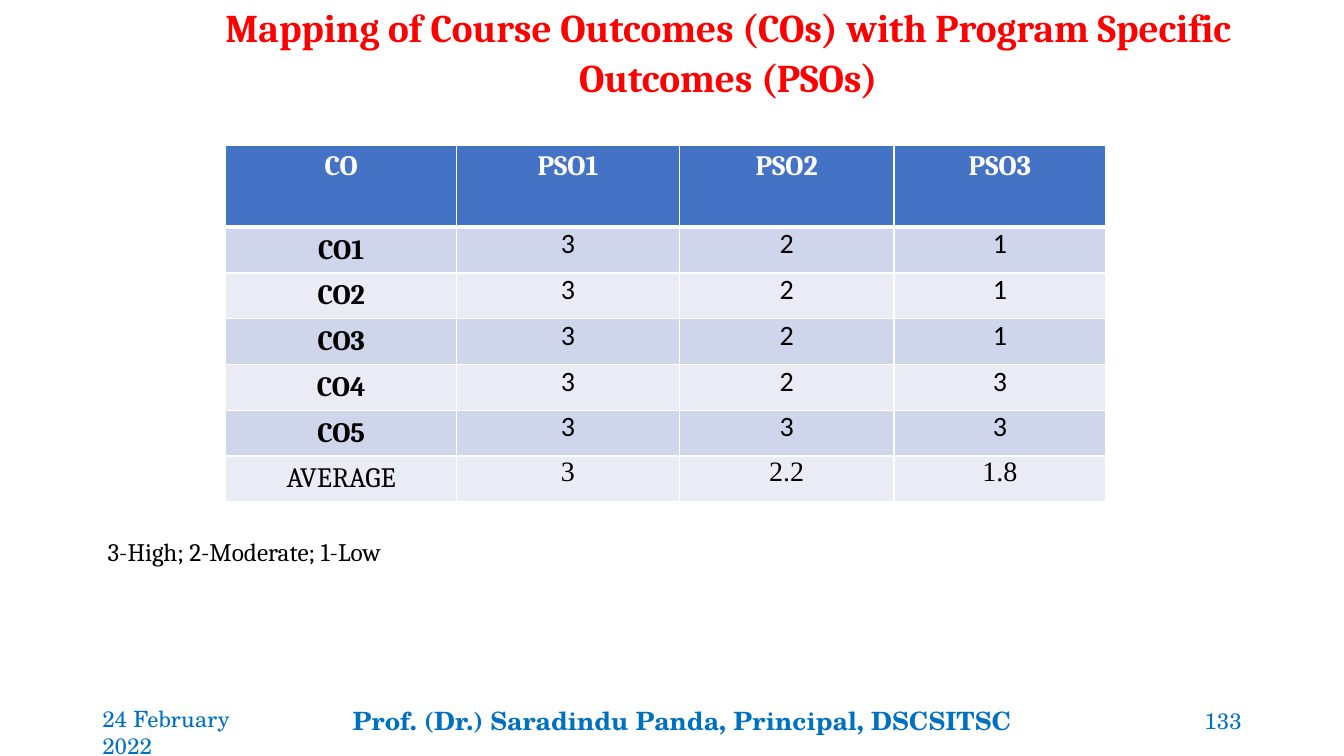
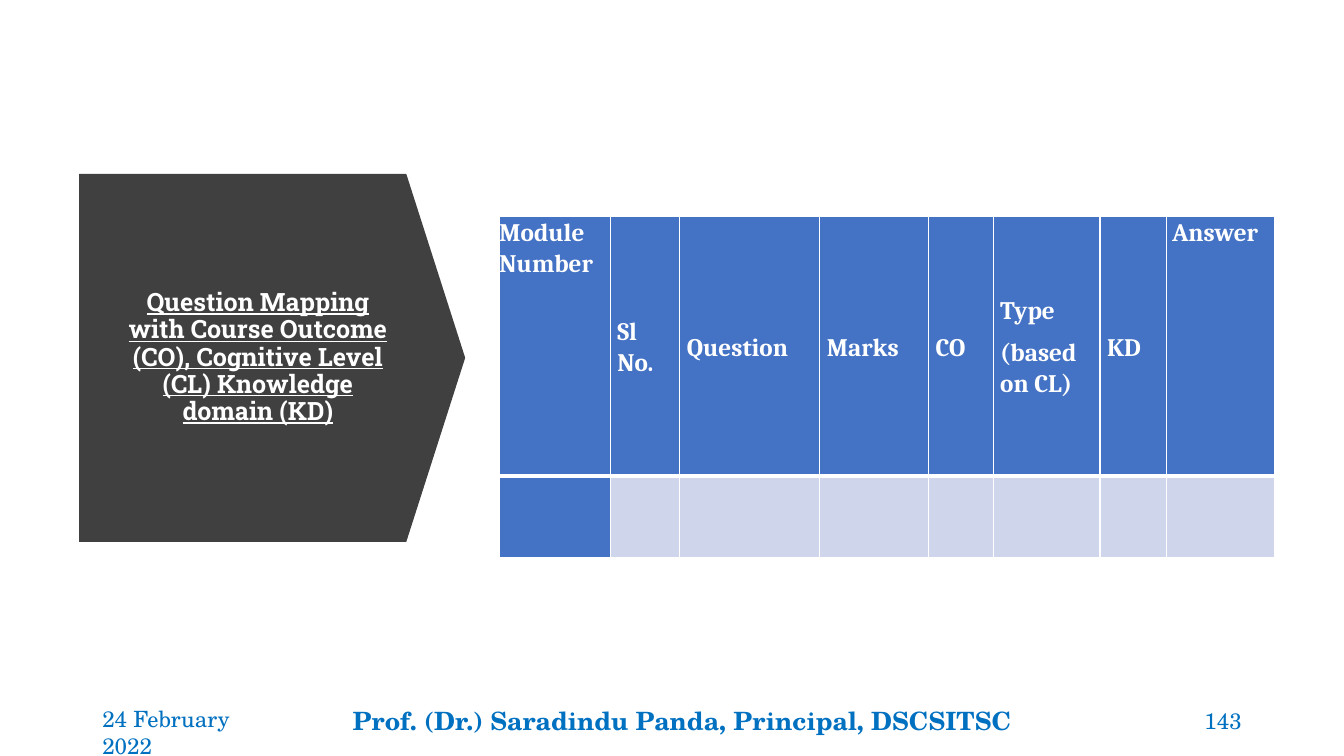
from collections import namedtuple
from dataclasses import dataclass

from lxml import etree
from pptx import Presentation
from pptx.dml.color import RGBColor
from pptx.enum.shapes import MSO_SHAPE
from pptx.enum.text import MSO_ANCHOR, MSO_AUTO_SIZE, PP_ALIGN
from pptx.oxml.ns import qn
from pptx.util import Pt

LEFT, CENTER, RIGHT = PP_ALIGN.LEFT, PP_ALIGN.CENTER, PP_ALIGN.RIGHT
TOP, MIDDLE, BOTTOM = MSO_ANCHOR.TOP, MSO_ANCHOR.MIDDLE, MSO_ANCHOR.BOTTOM
NO_AUTOFIT = MSO_AUTO_SIZE.NONE
PENTAGON = MSO_SHAPE.PENTAGON
TITLE_ONLY = 5

Box = namedtuple("Box", "left top width height")


@dataclass(frozen=True)
class Theme:
    white: str = "FFFFFF"
    black: str = "000000"
    title_red: str = "FF0000"
    footer_blue: str = "0070C0"
    header_blue: str = "4472C4"
    band_dark: str = "CFD5EA"
    band_light: str = "E9EBF5"
    panel: str = "404040"
    serif: str = "Cambria"
    sans: str = "Calibri"
    times: str = "Times New Roman"
    slab: str = "Roboto Slab"
    schola: str = "TeX Gyre Schola"
    title_size: int = 28
    table_size: int = 20
    text_size: int = 18
    small_size: int = 16
    line_spacing: float = 1.07
    space_after: int = 8


THEME = Theme()
DATE = "24 February 2022"
AUTHOR = "Prof. (Dr.) Saradindu Panda, Principal, DSCSITSC"
FOOTER = Box(66, 500.4, 828, 28.8)
PSO_HEADINGS = ["CO", "PSO1", "PSO2", "PSO3"]
PSO_LEVELS = [
    ["CO1", "3", "2", "1"],
    ["CO2", "3", "2", "1"],
    ["CO3", "3", "2", "1"],
    ["CO4", "3", "2", "3"],
    ["CO5", "3", "3", "3"],
    ["AVERAGE", "3", "2.2", "1.8"],
]
QUESTION_HEADINGS = ["Module Number", "Sl No.", "Question", "Marks", "CO",
                     "Type\n(based on CL)", "KD", "Answer"]


def write(frame, text, font=THEME.serif, size=THEME.text_size, color=THEME.black,
          bold=False, underline=False, align=LEFT, spacing=1, after=0):
    """Fill a text frame, one paragraph for each line of text."""
    frame.word_wrap = True
    for index, line in enumerate(text.split("\n")):
        paragraph = frame.add_paragraph() if index else frame.paragraphs[0]
        paragraph.alignment = align
        paragraph.line_spacing = spacing
        paragraph.space_before = Pt(0)
        paragraph.space_after = Pt(after)
        run = paragraph.add_run()
        run.text = line
        run.font.name = font
        run.font.size = Pt(size)
        run.font.bold = bold
        run.font.underline = underline
        run.font.color.rgb = RGBColor.from_string(color)


def add_label(slide, box, text, anchor=TOP, **text_format):
    label = slide.shapes.add_textbox(*map(Pt, box))
    label.text_frame.vertical_anchor = anchor
    write(label.text_frame, text, **text_format)


def place_title(slide, box, text, anchor, **text_format):
    title = slide.shapes.title
    title.left, title.top, title.width, title.height = map(Pt, box)
    title.text_frame.auto_size = NO_AUTOFIT
    title.text_frame.vertical_anchor = anchor
    write(title.text_frame, text, bold=True, align=CENTER,
          after=THEME.space_after, **text_format)
    return title


def add_footer(slide, box, number):
    style = dict(font=THEME.schola, color=THEME.footer_blue)
    left, top, width, height = box
    add_label(slide, Box(left, top, 143.3, height), DATE,
              size=THEME.small_size, **style)
    add_label(slide, Box(left + 178.8, top, 490.3, height), AUTHOR,
              bold=True, **style)
    number_width = 104.4
    add_label(slide, Box(left + width - number_width, top, number_width, height),
              str(number), anchor=MIDDLE, align=RIGHT, size=THEME.small_size, **style)


def add_borders(cell, bottom=1):
    """Draw white cell borders, with a bottom line of the given width."""
    properties = cell._tc.get_or_add_tcPr()
    widths = {"a:lnL": 1, "a:lnR": 1, "a:lnT": 1, "a:lnB": bottom}
    for index, (tag, width) in enumerate(widths.items()):
        line = etree.Element(qn(tag), w=str(Pt(width)))
        fill = etree.SubElement(line, qn("a:solidFill"))
        etree.SubElement(fill, qn("a:srgbClr"), val=THEME.white)
        properties.insert(index, line)


def add_grid(slide, box, column_shares, header_height, row_count):
    """Add a table whose first row has its own height and the rest share what is left."""
    table = slide.shapes.add_table(row_count, len(column_shares), *map(Pt, box)).table
    for column, share in zip(table.columns, column_shares):
        column.width = Pt(round(box.width * share / sum(column_shares), 2))
    row_height = (box.height - header_height) / (row_count - 1)
    for index, row in enumerate(table.rows):
        row.height = Pt(row_height if index else header_height)
        for cell in row.cells:
            add_borders(cell, bottom=1 if index else 3)
    return table


def fill_cell(cell, color):
    cell.fill.solid()
    cell.fill.fore_color.rgb = RGBColor.from_string(color)


def set_margins(cell, left, top, right, bottom):
    cell.margin_left, cell.margin_top = Pt(left), Pt(top)
    cell.margin_right, cell.margin_bottom = Pt(right), Pt(bottom)


def add_pso_table(slide, box):
    rows = [PSO_HEADINGS] + PSO_LEVELS
    table = add_grid(slide, box, [2.29, 2.21, 2.13, 2.1], 58.3, len(rows))
    for row, values in enumerate(rows):
        is_header, is_average = row == 0, row == len(rows) - 1
        band = THEME.band_dark if row % 2 else THEME.band_light
        for column, value in enumerate(values):
            cell = table.cell(row, column)
            fill_cell(cell, THEME.header_blue if is_header else band)
            font = THEME.serif
            if not is_header and column:
                font = THEME.times if is_average else THEME.sans
                set_margins(cell, 5, 0, 5, 0)
            elif not is_header:
                cell.vertical_anchor = MIDDLE
            write(cell.text_frame, value, font=font, size=THEME.table_size,
                  color=THEME.white if is_header else THEME.black,
                  bold=is_header or (column == 0 and not is_average), align=CENTER)


def add_question_table(slide, box):
    shares = [1.1, 0.69, 1.39, 1.08, 0.64, 1.06, 0.66, 1.07]
    table = add_grid(slide, box, shares, 185, 2)
    last = len(QUESTION_HEADINGS) - 1
    for column, heading in enumerate(QUESTION_HEADINGS):
        header, answer = table.cell(0, column), table.cell(1, column)
        fill_cell(header, THEME.header_blue)
        fill_cell(answer, THEME.band_dark if column else THEME.header_blue)
        if column in (0, last):
            set_margins(header, 4 if column else 0, 0, 0, 0)
        else:
            header.vertical_anchor = MIDDLE
            set_margins(header, 5, 1, 5, 0)
        write(header.text_frame, heading, color=THEME.white, bold=True,
              spacing=THEME.line_spacing, after=THEME.space_after)


def add_title_panel(slide, box, text):
    """Place the title on a dark panel that points right."""
    panel = slide.shapes.add_shape(PENTAGON, *map(Pt, box))
    panel.adjustments[0] = 0.16
    panel.shadow.inherit = False
    panel.fill.solid()
    panel.fill.fore_color.rgb = RGBColor.from_string(THEME.panel)
    panel.line.fill.background()
    title_box = Box(box.left + 24, box.top + 30.6, 207.4, box.height - 61.2)
    title = place_title(slide, title_box, text, MIDDLE, font=THEME.slab,
                        color=THEME.white, underline=True, spacing=0.9)
    title._element.addprevious(panel._element)


def build_pso_slide(slide):
    place_title(slide, Box(143.3, 7.2, 753.8, 68.4),
                "Mapping of Course Outcomes (COs) with Program Specific Outcomes (PSOs)",
                BOTTOM, size=THEME.title_size, color=THEME.title_red,
                spacing=THEME.line_spacing)
    add_pso_table(slide, Box(161.3, 104, 628.6, 254.5))
    add_label(slide, Box(69.8, 379.4, 242, 28.8), "3-High; 2-Moderate; 1-Low")
    add_footer(slide, FOOTER, 133)


def build_question_slide(slide):
    add_title_panel(slide, Box(56.5, 124.2, 275.8, 262.8),
                    "Question Mapping with Course Outcome (CO), "
                    "Cognitive Level (CL) Knowledge domain (KD)")
    add_question_table(slide, Box(356.7, 154.8, 553.7, 243.3))
    add_footer(slide, FOOTER, 143)


def main():
    presentation = Presentation()
    presentation.slide_width, presentation.slide_height = Pt(960), Pt(540)
    layout = presentation.slide_layouts[TITLE_ONLY]
    for build in (build_pso_slide, build_question_slide):
        build(presentation.slides.add_slide(layout))
    presentation.save("out.pptx")


if __name__ == "__main__":
    main()
